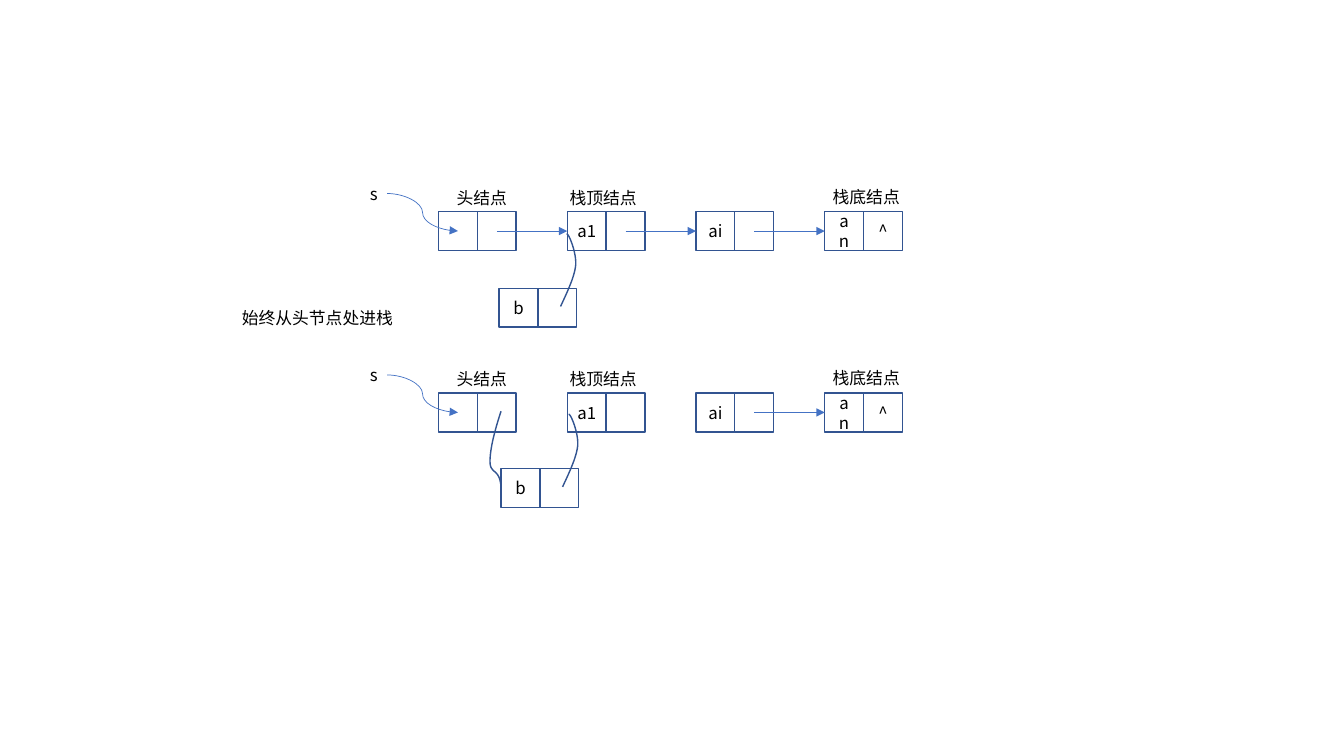
"""Linked stack: pushing node b behind the head node, before and after."""
from dataclasses import dataclass

from lxml import etree
from pptx import Presentation, util as u
from pptx.dml.color import RGBColor
from pptx.enum import shapes, text
from pptx.oxml import ns

COLORS = {"outline": "325491", "arrow": "4472C4", "text": "000000"}
FONT = "Noto Sans CJK SC"
CELL = 0.77 / 2
FIRST_LEFT, LAST_LEFT = 4.35, 8.18
NODES = [("", ""), ("a1", ""), ("ai", ""), ("an", "^")]
PITCH = (LAST_LEFT - FIRST_LEFT) / (len(NODES) - 1)
LEFTS = [FIRST_LEFT + PITCH * index for index in range(len(NODES))]
CURVE_STEPS = 12

Point = tuple[float, float]


@dataclass(frozen=True)
class Label:
    """A caption, placed relative to the top of its row of nodes."""
    words: str
    left: float
    rise: float
    width: float


@dataclass(frozen=True)
class Stage:
    """One row of the list, with the pushed node below it."""
    top: float
    linked: tuple[int, ...]
    pushed: Point
    head_link: bool


LABELS = [
    Label("s", 3.57, 0.33, 0.27),
    Label("头结点", 4.43, 0.29, 0.71),
    Label("栈顶结点", 5.55, 0.29, 0.88),
    Label("栈底结点", 8.16, 0.3, 0.88),
]
STAGES = [
    Stage(2.1, (0, 1, 2), (4.95, 2.86), False),
    Stage(3.9, (2,), (4.97, 4.65), True),
]
# Bezier points, relative to the corner of the pushed node.
NEXT_LINK = [(0.61, 0.18), (0.68, 0.03), (0.75, -0.12), (0.76, -0.23),
             (0.77, -0.35), (0.69, -0.55), (0.67, -0.54)]
HEAD_LINK = [(0, -0.57), (-0.06, -0.39), (-0.11, -0.2), (-0.11, -0.07),
             (-0.11, 0.06), (-0.01, -0.01), (0, 0.19)]


def apply_format(target: object, values: dict[str, object]) -> None:
    """Set each named attribute on the target."""
    for name, value in values.items():
        setattr(target, name, value)


def set_line(shape, color: str, width: float) -> None:
    """Give a shape or connector its line colour and width in points."""
    shape.line.color.rgb = RGBColor.from_string(COLORS[color])
    shape.line.width = u.Pt(width)


def write(para, words: str) -> None:
    """Put one formatted span into a paragraph."""
    span = para.add_run()
    span.text = words
    apply_format(span.font, {"size": u.Pt(12), "name": FONT})
    span.font.color.rgb = RGBColor.from_string(COLORS["text"])
    etree.SubElement(span.font._element, ns.qn("a:ea"), typeface=FONT)


def draw_label(page, words: str, left: float, top: float, width: float) -> None:
    """Draw a caption that does not wrap."""
    box = page.shapes.add_textbox(*map(u.Inches, (left, top, width, 0.3)))
    apply_format(box.text_frame, {
        "word_wrap": False,
        "auto_size": text.MSO_AUTO_SIZE.SHAPE_TO_FIT_TEXT,
    })
    write(box.text_frame.paragraphs[0], words)


def draw_node(page, left: float, top: float, fields: tuple[str, str]) -> None:
    """Draw the data cell and the pointer cell of a node."""
    for column, words in enumerate(fields):
        cell = page.shapes.add_shape(
            shapes.MSO_SHAPE.RECTANGLE, u.Inches(left + column * CELL),
            u.Inches(top), u.Inches(CELL), u.Inches(CELL))
        cell.shadow.inherit = False
        cell.fill.background()
        set_line(cell, "outline", 1)
        if words:
            cell.text_frame.vertical_anchor = text.MSO_ANCHOR.MIDDLE
            para = cell.text_frame.paragraphs[0]
            para.alignment = text.PP_ALIGN.CENTER
            write(para, words)


def draw_arrow(page, kind, start: Point, end: Point) -> None:
    """Draw a connector with an arrowhead at its end."""
    arrow = page.shapes.add_connector(kind, *map(u.Inches, start + end))
    set_line(arrow, "arrow", 0.5)
    etree.SubElement(arrow.line._get_or_add_ln(), ns.qn("a:tailEnd"),
                     type="triangle")
    etree.SubElement(arrow._element.spPr, ns.qn("a:effectLst"))


def bezier(start: Point, first: Point, second: Point, end: Point) -> list[Point]:
    """Return points along a cubic curve, leaving out its start."""
    points = []
    for step in range(1, CURVE_STEPS + 1):
        t = step / CURVE_STEPS
        weights = ((1 - t) ** 3, 3 * t * (1 - t) ** 2,
                   3 * t * t * (1 - t), t ** 3)
        controls = (start, first, second, end)
        points.append(tuple(sum(w * c[axis] for w, c in zip(weights, controls))
                            for axis in (0, 1)))
    return points


def draw_link(page, corner: Point, controls: list[Point]) -> None:
    """Draw a hand-drawn link through consecutive cubic curves."""
    points = [controls[0]]
    for index in range(0, len(controls) - 1, 3):
        points += bezier(*controls[index:index + 4])
    placed = [(u.Inches(corner[0] + x), u.Inches(corner[1] + y))
              for x, y in points]
    builder = page.shapes.build_freeform(*placed[0])
    builder.add_line_segments(placed[1:], close=False)
    link = builder.convert_to_shape()
    link.shadow.inherit = False
    link.fill.background()
    set_line(link, "outline", 1)


def draw_stage(page, stage: Stage) -> None:
    """Draw one row of nodes with its captions and links."""
    middle = stage.top + CELL / 2
    for left, fields in zip(LEFTS, NODES):
        draw_node(page, left, stage.top, fields)
    for index in stage.linked:
        draw_arrow(page, shapes.MSO_CONNECTOR.STRAIGHT,
                   (LEFTS[index] + 1.5 * CELL, middle),
                   (LEFTS[index + 1], middle))
    for label in LABELS:
        draw_label(page, label.words, label.left, stage.top - label.rise,
                   label.width)
    draw_arrow(page, shapes.MSO_CONNECTOR.CURVE, (3.84, stage.top - 0.18),
               (FIRST_LEFT + CELL / 2, middle))
    draw_node(page, *stage.pushed, ("b", ""))
    draw_link(page, stage.pushed, NEXT_LINK)
    if stage.head_link:
        draw_link(page, stage.pushed, HEAD_LINK)


def main() -> None:
    """Build and save the deck."""
    deck = Presentation()
    apply_format(deck, {"slide_width": u.Inches(13.33),
                        "slide_height": u.Inches(7.5)})
    page = deck.slides.add_slide(deck.slide_layouts[6])
    for stage in STAGES:
        draw_stage(page, stage)
    draw_label(page, "始终从头节点处进栈", 2.3, 3, 1.72)
    deck.save("out.pptx")


main()
